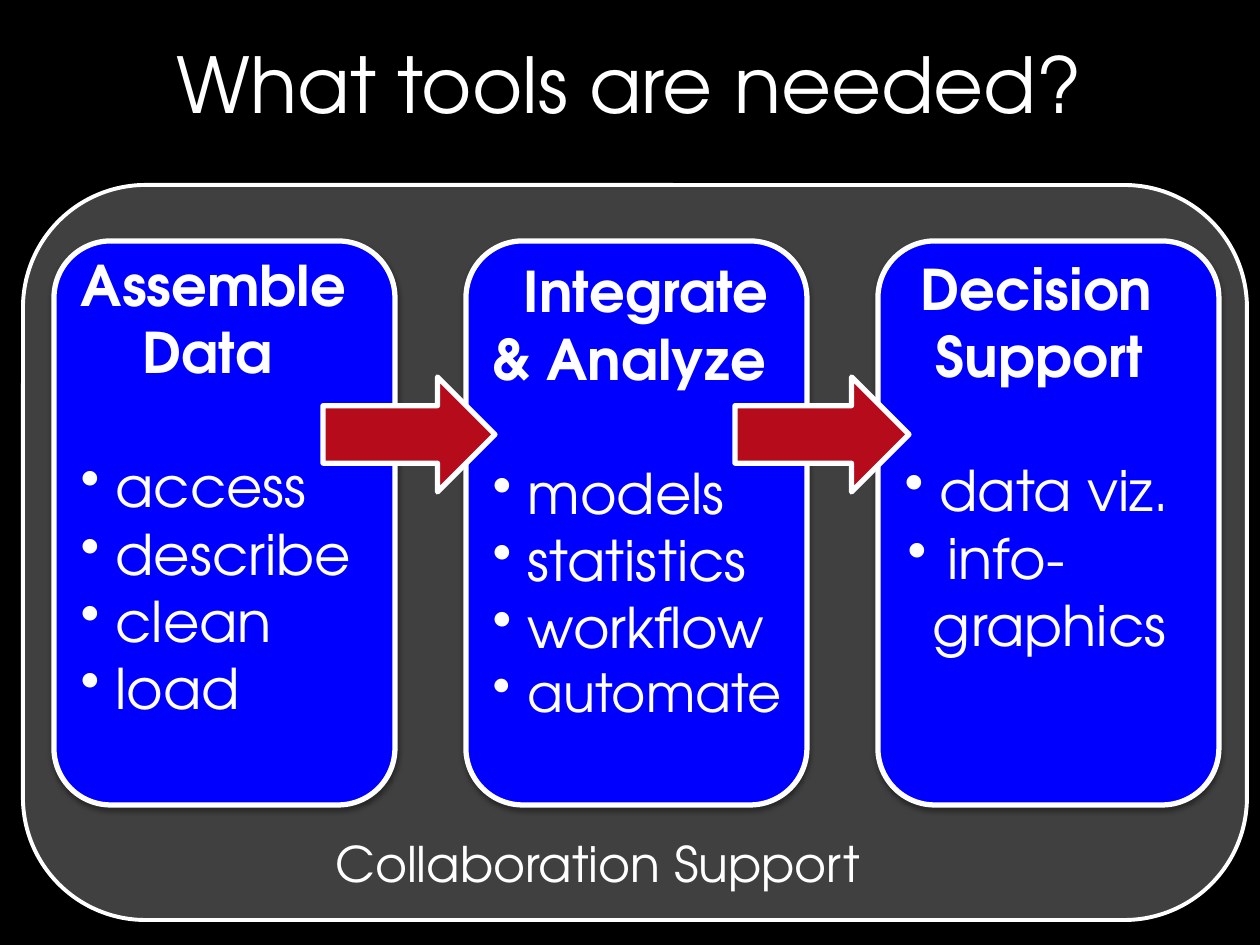
"""Build the slide on the tools needed, from data assembly to decision support."""
import pptx
import pptx.dml.color
import pptx.enum.shapes
import pptx.enum.text
import pptx.oxml
import pptx.oxml.ns
import pptx.util

FONT = "TeX Gyre Adventor"
EMU_PER_PX = 914400 / 126
SHAPES = pptx.enum.shapes.MSO_SHAPE
ANCHORS = pptx.enum.text.MSO_ANCHOR

TITLE = "What tools are needed?"
FOOTING = "Collaboration Support"
STAGES = [
    {"heading": [("Assemble", 0), ("Data", 62)],
     "tasks": [("access", 35, 32), ("describe", 35, 32), ("clean", 35, 32), ("load", 35, 32)],
     "bottom": 81},
    {"heading": [("Integrate", 31), ("& Analyze", 0)],
     "tasks": [("models", 35, 32), ("statistics", 35, 32), ("workflow", 35, 32), ("automate", 35, 30)],
     "bottom": 72},
    {"heading": [("Decision", 16), ("Support", 31)],
     "tasks": [("data viz.", 35, 32), ("info-", 43, 32)],
     "continuation": ("graphics", 28),
     "bottom": 140},
]
ARROW_WIDTHS = [172, 174]
STAGE_LEFT, STAGE_TOP, STAGE_WIDTH, STAGE_HEIGHT, STAGE_PITCH = 54, 241, 341, 564, 412
ARROW_LEFT, ARROW_TOP, ARROW_HEIGHT = 323, 377, 115
HANGING = -40
TASK_GAP = 38.4


def px(length):
    return pptx.util.Emu(round(length * EMU_PER_PX))


def color(value):
    return pptx.dml.color.RGBColor.from_string(value)


def add_block(slide, preset, box, fill, line_width):
    block = slide.shapes.add_shape(preset, *map(px, box))
    block.shadow.inherit = False
    block.fill.solid()
    block.fill.fore_color.rgb = color(fill)
    block.line.color.rgb = color("FFFFFF")
    block.line.width = pptx.util.Pt(line_width)
    return block


def add_shadow(block):
    effects = block._element.spPr.find(pptx.oxml.ns.qn("a:effectLst"))
    effects.append(pptx.oxml.parse_xml(
        f'<a:outerShdw {pptx.oxml.ns.nsdecls("a")} blurRad="39370" dist="20320" dir="5400000" '
        'rotWithShape="0"><a:srgbClr val="000000"><a:alpha val="38000"/></a:srgbClr></a:outerShdw>'))


def write(paragraph, text, size, bold=False, align=pptx.enum.text.PP_ALIGN.LEFT):
    paragraph.alignment = align
    run = paragraph.add_run()
    run.text = text
    run.font.name = FONT
    run.font.size = pptx.util.Pt(size)
    run.font.bold = bold
    run.font.color.rgb = color("FFFFFF")


def indent(paragraph, left, first=0, bullet=None):
    properties = paragraph._p.get_or_add_pPr()
    properties.set("marL", str(px(left)))
    properties.set("indent", str(px(first)))
    if bullet:
        properties.append(pptx.oxml.parse_xml(
            f'<a:buChar {pptx.oxml.ns.nsdecls("a")} char="{bullet}"/>'))


def add_stage(slide, index, stage):
    left = STAGE_LEFT + index * STAGE_PITCH
    panel = add_block(slide, SHAPES.ROUNDED_RECTANGLE,
                      (left, STAGE_TOP, STAGE_WIDTH, STAGE_HEIGHT), "0000FF", 3)
    add_shadow(panel)
    frame = panel.text_frame
    frame.word_wrap = True
    frame.vertical_anchor = ANCHORS.MIDDLE
    frame.margin_left, frame.margin_right = px(10), px(5)
    frame.margin_top, frame.margin_bottom = px(6), px(stage["bottom"])
    for position, (text, start) in enumerate(stage["heading"]):
        paragraph = frame.add_paragraph() if position else frame.paragraphs[0]
        indent(paragraph, start)
        write(paragraph, text, 32, bold=True)
    for position, (text, start, size) in enumerate(stage["tasks"]):
        paragraph = frame.add_paragraph()
        indent(paragraph, start, HANGING, "•")
        if position == 0:
            paragraph.space_before = pptx.util.Pt(TASK_GAP)
        write(paragraph, text, size)
    if "continuation" in stage:
        text, start = stage["continuation"]
        paragraph = frame.add_paragraph()
        indent(paragraph, start)
        write(paragraph, text, 32)


def main():
    deck = pptx.Presentation()
    deck.slide_width, deck.slide_height = px(1260), px(945)
    slide = deck.slides.add_slide(deck.slide_layouts[5])
    slide.background.fill.solid()
    slide.background.fill.fore_color.rgb = color("000000")

    title = slide.shapes.title
    title.left, title.top, title.width, title.height = map(px, (0, 30, 1260, 106))
    title.text_frame.vertical_anchor = ANCHORS.TOP
    title.text_frame.auto_size = pptx.enum.text.MSO_AUTO_SIZE.NONE
    write(title.text_frame.paragraphs[0], TITLE, 44, align=pptx.enum.text.PP_ALIGN.CENTER)

    add_block(slide, SHAPES.ROUNDED_RECTANGLE, (23, 185, 1224, 735), "404040", 2.25)
    for index, stage in enumerate(STAGES):
        add_stage(slide, index, stage)
    for index, width in enumerate(ARROW_WIDTHS):
        left = ARROW_LEFT + index * STAGE_PITCH
        add_block(slide, SHAPES.RIGHT_ARROW, (left, ARROW_TOP, width, ARROW_HEIGHT), "B50B1B", 3)

    footing = slide.shapes.add_textbox(*map(px, (323, 827, 625, 72)))
    footing.text_frame.word_wrap = True
    write(footing.text_frame.paragraphs[0], FOOTING, 28)
    deck.save("out.pptx")


if __name__ == "__main__":
    main()
